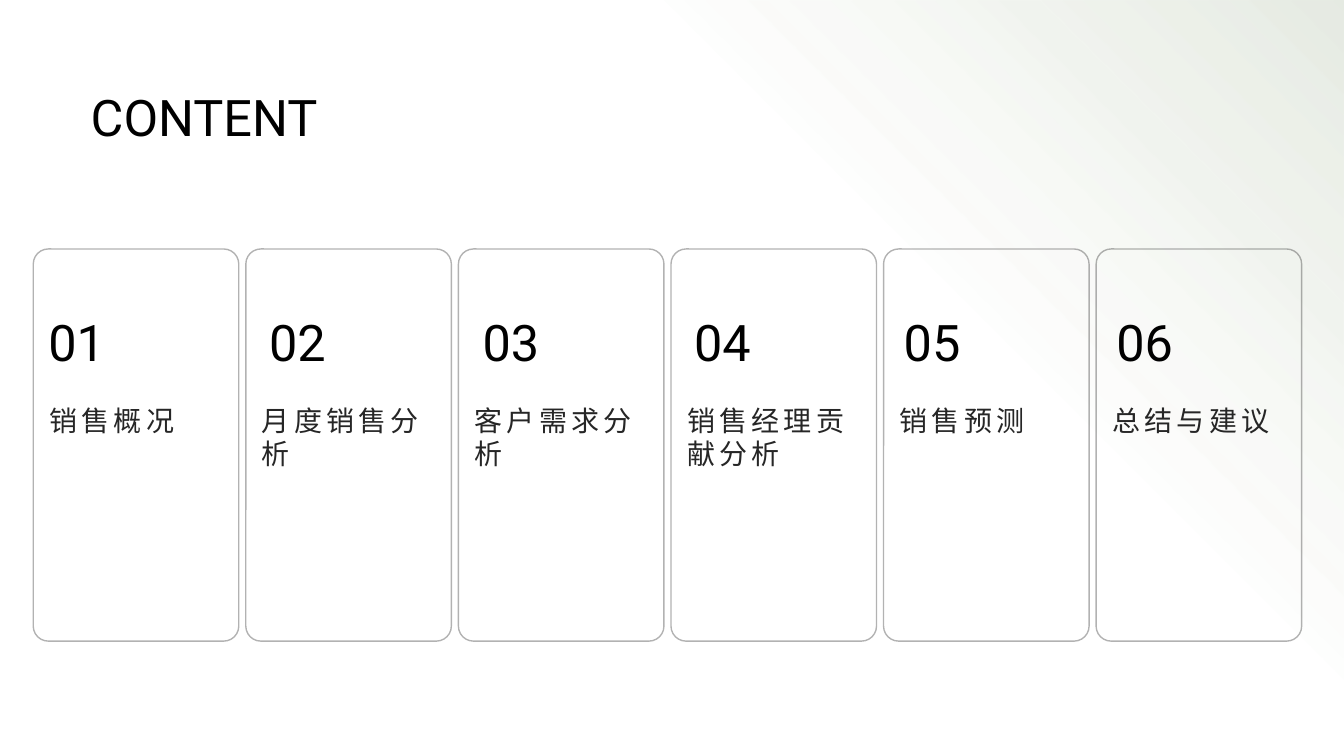
from lxml.etree import SubElement
from pptx import Presentation
from pptx.dml.color import RGBColor
from pptx.enum.shapes import MSO_SHAPE
from pptx.enum.text import MSO_ANCHOR
from pptx.oxml import parse_xml
from pptx.oxml.ns import qn
from pptx.util import Inches, Pt

WIDE, HIGH = 13.33, 7.5
FONT = "Roboto"
CARDS = [  # topic, inset of the number from the card's left edge
    ("销售概况", 0.15),
    ("月度销售分析", 0.23),
    ("客户需求分析", 0.24),
    ("销售经理贡献分析", 0.23),
    ("销售预测", 0.2),
    ("总结与建议", 0.2),
]
GLOW = """<a:gradFill rotWithShape="1"
 xmlns:a="http://schemas.openxmlformats.org/drawingml/2006/main">
 <a:gsLst>
  <a:gs pos="0"><a:srgbClr val="3F6128"><a:alpha val="13000"/></a:srgbClr></a:gs>
  <a:gs pos="47000"><a:srgbClr val="548235"><a:alpha val="0"/></a:srgbClr></a:gs>
 </a:gsLst>
 <a:path path="circle"><a:fillToRect l="100000" b="100000"/></a:path>
</a:gradFill>"""


def color(code):
    return RGBColor.from_string(code)


def add_text(slide, box, text, size, code, anchor=MSO_ANCHOR.TOP, gap=0):
    """Place a text; gap is the letter spacing in points."""
    frame = slide.shapes.add_textbox(*map(Inches, box)).text_frame
    frame.word_wrap = True
    frame.vertical_anchor = anchor
    frame.margin_left = frame.margin_right = 0
    frame.margin_top = frame.margin_bottom = 0
    frame.text = text
    font = frame.paragraphs[0].runs[0].font
    font.name, font.size = FONT, Pt(size)
    font.color.rgb = color(code)
    if gap:
        frame.paragraphs[0].runs[0]._r.get_or_add_rPr().set("spc", str(gap * 100))


def add_glow(slide, box):
    """Shade the box from its top right corner."""
    glow = slide.shapes.add_shape(MSO_SHAPE.RECTANGLE, *map(Inches, box))
    glow.shadow.inherit = False
    glow.line.fill.background()
    glow.fill.background()
    props = glow._element.spPr
    props.replace(props.find(qn("a:noFill")), parse_xml(GLOW))


def add_card(slide, box, label, topic, inset):
    left, top, width, height = box
    card = slide.shapes.add_shape(MSO_SHAPE.ROUNDED_RECTANGLE, *map(Inches, box))
    card.adjustments[0] = 0.073
    card.shadow.inherit = False
    card.fill.background()
    card.line.width = Pt(1)
    card.line.color.rgb = color("000000")
    tint = card.line._ln.find(".//" + qn("a:srgbClr"))
    SubElement(tint, qn("a:alpha")).set("val", "30000")

    add_text(slide, (left + inset, top + 0.55, 1.69, 0.74), label, 36,
             "000000", MSO_ANCHOR.MIDDLE)
    add_text(slide, (left + 0.16, top + 1.53, width - 0.3, height - 1.97), topic, 20,
             "262626", gap=3)


def add_cards(slide, box):
    """Share the box out among the cards in equal columns."""
    left, top, width, height = box
    gap = 0.07
    pitch = (width + gap) / len(CARDS)
    for i, (topic, inset) in enumerate(CARDS):
        cell = (left + i * pitch, top, pitch - gap, height)
        add_card(slide, cell, f"{i + 1:02}", topic, inset)


def main():
    deck = Presentation()
    deck.slide_width, deck.slide_height = Inches(WIDE), Inches(HIGH)
    slide = deck.slides.add_slide(deck.slide_layouts[6])
    add_glow(slide, (6.21, 0, WIDE - 6.21, HIGH))
    add_text(slide, (0.9, 0.8, 11.21, 0.71), "CONTENT", 36, "000000",
             MSO_ANCHOR.MIDDLE)
    add_cards(slide, (0.33, 2.47, 12.58, 3.89))
    deck.save("out.pptx")


if __name__ == "__main__":
    main()
